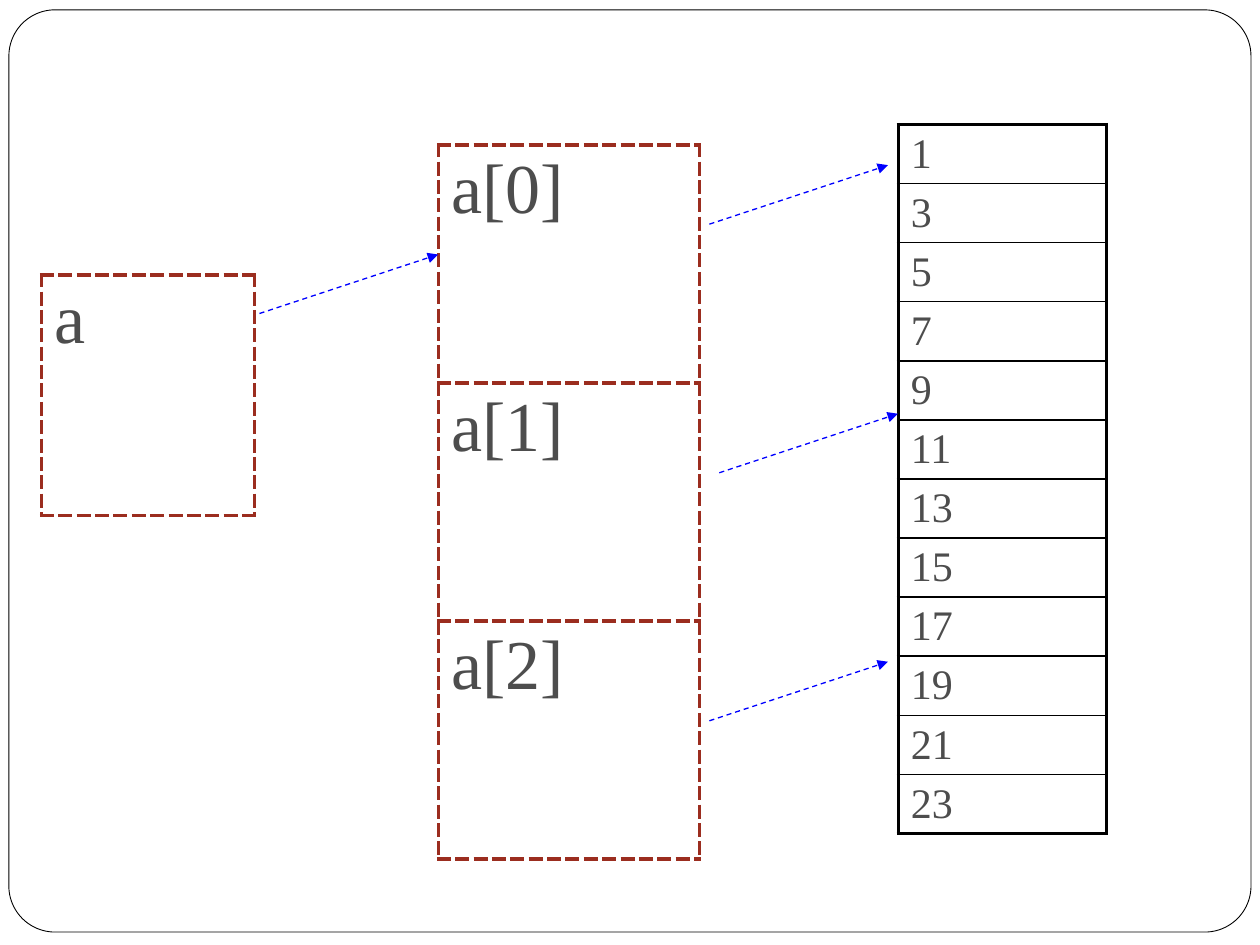
from lxml import etree
from pptx import Presentation
from pptx.dml.color import RGBColor
from pptx.enum.dml import MSO_LINE_DASH_STYLE as Dash
from pptx.enum.shapes import MSO_CONNECTOR as Connector, MSO_SHAPE as Shape
from pptx.oxml.ns import qn
from pptx.util import Cm, Pt

FONT = "Times New Roman"
TEXT, BLACK, WHITE, RED, BLUE = "4D4D4D", "000000", "FFFFFF", "9B2D1F", "0000FF"


def color(hex_code):
    return RGBColor.from_string(hex_code)


def add_frame(slide, left, top, width, height):
    """Rounded outline around the whole slide."""
    frame = slide.shapes.add_shape(
        Shape.ROUNDED_RECTANGLE, Cm(left), Cm(top), Cm(width), Cm(height))
    frame.adjustments[0] = 0.05
    frame.shadow.inherit = False
    frame.fill.solid()
    frame.fill.fore_color.rgb = color(WHITE)
    frame.line.color.rgb = color(BLACK)
    frame.line.width = Pt(0.5)


def set_border(cell, side, hex_code, width, dash):
    """Draw one side (L, R, T or B) of a table cell."""
    border = etree.SubElement(
        cell._tc.get_or_add_tcPr(), qn(f"a:ln{side}"), w=str(Pt(width)))
    fill = etree.SubElement(border, qn("a:solidFill"))
    etree.SubElement(fill, qn("a:srgbClr"), val=hex_code)
    etree.SubElement(border, qn("a:prstDash"), val=dash)


def add_cells(slide, box, labels, size, line_color, dash="solid", inner_width=2.25):
    """One-column table of memory cells with equal rows."""
    left, top, width, height = map(Cm, box)
    count = len(labels)
    table = slide.shapes.add_table(count, 1, left, top, width, height).table
    table.first_row = table.horz_banding = False
    for index, label in enumerate(labels):
        table.rows[index].height = height // count
        cell = table.cell(index, 0)
        cell.text_frame.text = label
        font = cell.text_frame.paragraphs[0].runs[0].font
        font.name, font.size, font.color.rgb = FONT, Pt(size), color(TEXT)
        # The outline is heavy, the lines between rows may be thinner
        widths = {"L": 2.25, "R": 2.25,
                  "T": 2.25 if index == 0 else inner_width,
                  "B": 2.25 if index == count - 1 else inner_width}
        for side, line_width in widths.items():
            set_border(cell, side, line_color, line_width, dash)
        cell.fill.background()


def add_pointer(slide, left, bottom, width=3.6, rise=1.19):
    """Dashed arrow rising to the right."""
    arrow = slide.shapes.add_connector(
        Connector.STRAIGHT, Cm(left), Cm(bottom), Cm(left + width), Cm(bottom - rise))
    arrow.line.color.rgb = color(BLUE)
    arrow.line.width = Pt(0.75)
    arrow.line.dash_style = Dash.DASH
    etree.SubElement(arrow.line._get_or_add_ln(), qn("a:tailEnd"), type="triangle")
    etree.SubElement(arrow._element.spPr, qn("a:effectLst"))


def main():
    presentation = Presentation()
    presentation.slide_width, presentation.slide_height = Cm(25.4), Cm(19.05)
    slide = presentation.slides.add_slide(presentation.slide_layouts[6])
    add_frame(slide, 0.18, 0.2, 25.04, 18.59)

    # Array elements: the odd numbers from 1 to 23
    values = [str(number) for number in range(1, 24, 2)]
    add_cells(slide, (18.11, 2.51, 4.19, 14.3), values, 24, BLACK, inner_width=1)

    # Row pointers and the pointer to them
    rows = [f"a[{index}]" for index in range(3)]
    add_cells(slide, (8.84, 2.92, 5.26, 14.4), rows, 40, RED, "sysDash")
    add_cells(slide, (0.84, 5.54, 4.29, 4.85), ["a"], 40, RED, "sysDash")

    # Arrows from each pointer to its target
    for left, bottom in [(5.23, 6.32), (14.3, 4.52), (14.5, 9.53), (14.3, 14.53)]:
        add_pointer(slide, left, bottom)

    presentation.save("out.pptx")


if __name__ == "__main__":
    main()
